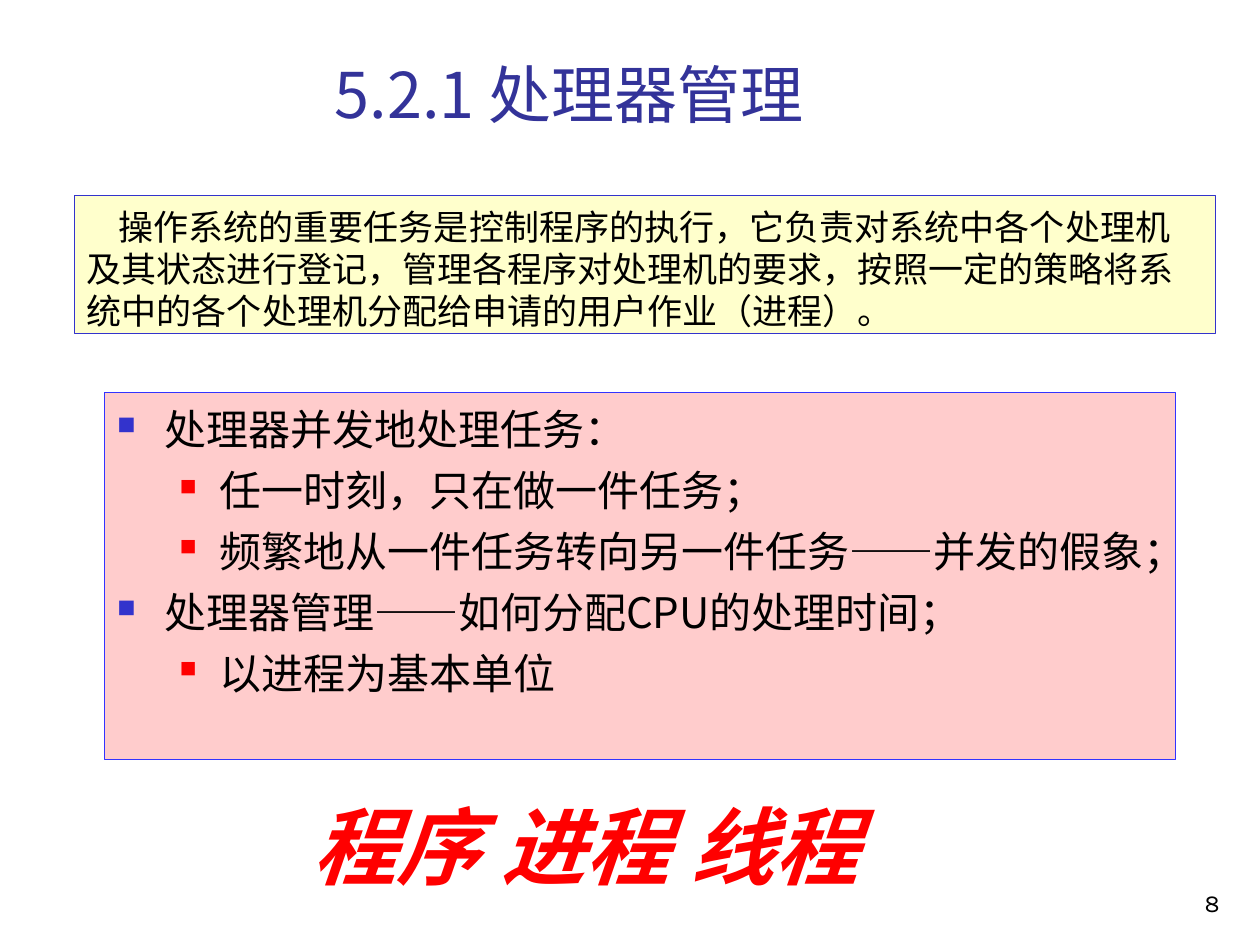
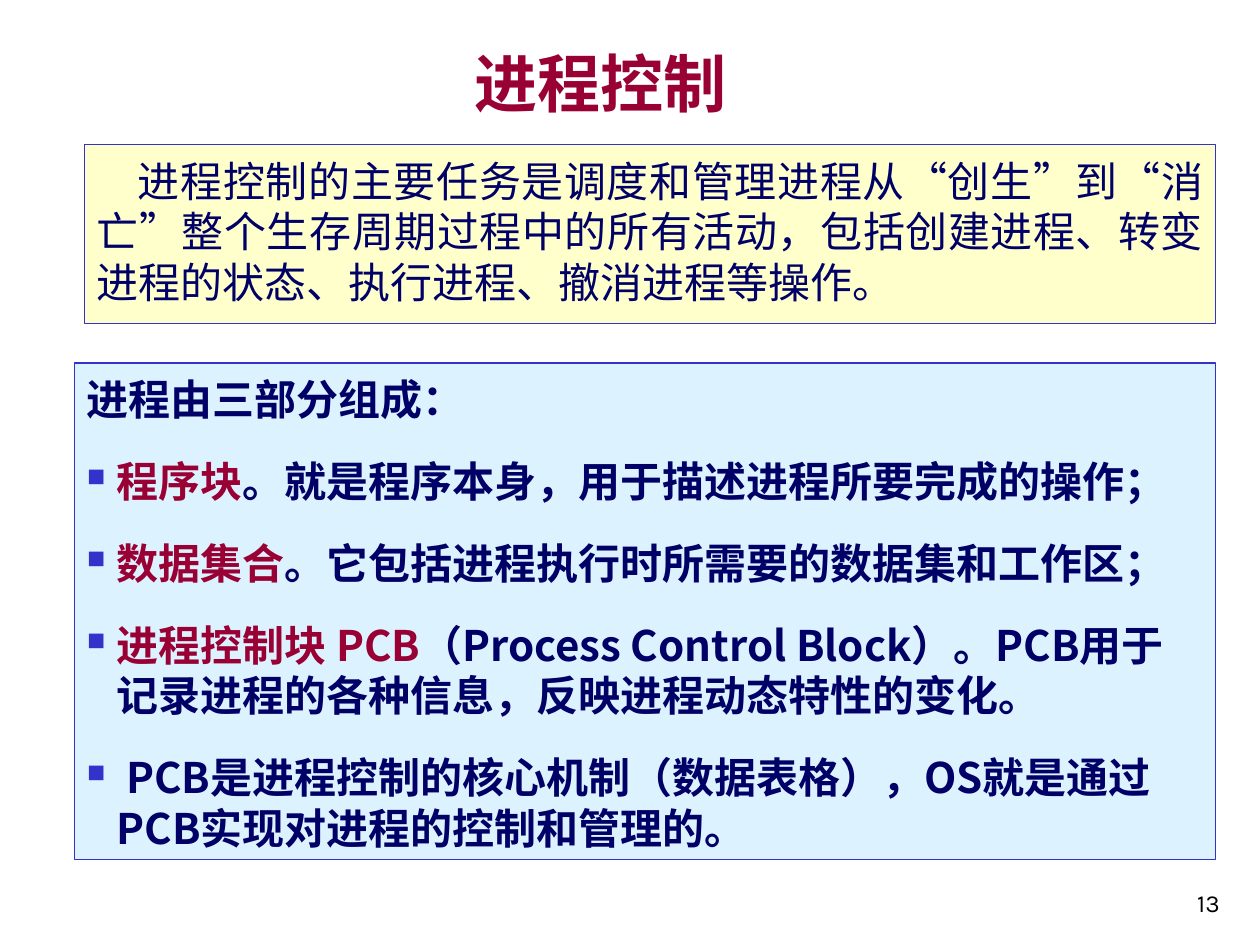
"""Build two slides on processor management and process control."""
from lxml import etree
from pptx import Presentation
from pptx import util as u
from pptx.dml.color import RGBColor
from pptx.enum import shapes, text
from pptx.oxml.ns import qn

COLORS = {
    "title": "333399", "crimson": "990033", "navy": "000066", "black": "000000",
    "red": "FF0000", "blue": "3333CC", "edge": "3333FF",
    "cream": "FFFFCC", "pink": "FFCCCC", "sky": "DDF2FF",
}
SC, JP, LATIN = "Noto Sans CJK SC", "Noto Sans CJK JP", "Karla"
INSET_X, INSET_Y = u.Cm(0.25), u.Cm(0.13)
LINE_RATIO, BASELINE_SHIFT = 1.2, 0.1
NUMBER_BOX = (19.56, 17.35, 5.28, 1.27)

LEVELS = {
    "plain": {},
    "opening": {"first": 0.64},
    "wide_opening": {"first": 0.83},
    "item": {"left": 0.95, "first": -0.95, "bullet": ("blue", 60)},
    "subitem": {"left": 2.06, "first": -0.8, "bullet": ("red", 55)},
    "part": {"left": 0.6, "first": -0.6, "bullet": ("blue", 60)},
    "terms": {"tabs": (4.9, 9.8)},
}

SLIDES = [
    {"number": "8", "boxes": [
        {"at": (6.5, 0.71, 12.12, 1.93), "anchor": "BOTTOM", "size": 36, "color": "title",
         "paras": [("plain", "5.2.1 处理器管理")]},
        {"at": (1.5, 3.94, 23.01, 2.79), "fill": "cream", "size": 20, "color": "black",
         "paras": [("opening", "操作系统的重要任务是控制程序的执行，它负责对系统中各个处理机及其状态进行登记，"
                    "管理各程序对处理机的要求，按照一定的策略将系统中的各个处理机分配给申请的用户作业（进程）。")]},
        {"at": (2.11, 7.92, 21.59, 7.39), "fill": "pink", "line": "edge", "size": 24,
         "color": "black", "before": 6,
         "paras": [("item", "处理器并发地处理任务："),
                   ("subitem", "任一时刻，只在做一件任务；"),
                   ("subitem", "频繁地从一件任务转向另一件任务——并发的假象；"),
                   ("item", "处理器管理——如何分配CPU的处理时间；"),
                   ("subitem", "以进程为基本单位")]},
        {"at": (3.5, 15.72, 18.8, 2.29), "pad": 2.55, "size": 48, "color": "red", "font": JP,
         "bold": True, "italic": True, "paras": [("terms", "程序\t进程\t线程")]},
    ]},
    {"number": "13", "boxes": [
        {"at": (7.7, 0.53, 8.81, 1.9), "anchor": "BOTTOM", "align": "CENTER", "size": 36,
         "color": "crimson", "font": JP, "bold": True, "paras": [("plain", "进程控制")]},
        {"at": (1.7, 2.92, 22.81, 3.61), "fill": "cream", "align": "JUSTIFY", "size": 24,
         "color": "navy",
         "paras": [("wide_opening", "进程控制的主要任务是调度和管理进程从“创生”到“消亡”整个生存周期过程中的所有活动，"
                    "包括创建进程、转变进程的状态、执行进程、撤消进程等操作。")]},
        {"at": (1.5, 7.32, 23.01, 10.01), "fill": "sky", "size": 24, "color": "navy",
         "bold": True, "before": 18,
         "paras": [("plain", "进程由三部分组成："),
                   ("part", "程序块", "。就是程序本身，用于描述进程所要完成的操作；"),
                   ("part", "数据集合", "。它包括进程执行时所需要的数据集和工作区；"),
                   ("part", "进程控制块 PCB",
                    "（Process Control Block）。PCB用于记录进程的各种信息，反映进程动态特性的变化。"),
                   ("part", " PCB是进程控制的核心机制（数据表格），OS就是通过PCB实现对进程的控制和管理的。")]},
    ]},
]


def rgb(name):
    return RGBColor.from_string(COLORS[name])


def sub(parent, tag, **attrs):
    return etree.SubElement(parent, qn(tag), {k: str(v) for k, v in attrs.items()})


def format_level(p, left=0, first=0, bullet=None, tabs=()):
    pPr = p._p.get_or_add_pPr()
    pPr.set("marL", str(u.Cm(left)))
    pPr.set("indent", str(u.Cm(first)))
    if bullet:
        color, percent = bullet
        sub(sub(pPr, "a:buClr"), "a:srgbClr", val=COLORS[color])
        sub(pPr, "a:buSzPct", val=percent * 1000)
        sub(pPr, "a:buChar", char="■")
    if tabs:
        stops = sub(pPr, "a:tabLst")
        for pos in tabs:
            sub(stops, "a:tab", pos=u.Cm(pos), algn="l")


def add_run(p, words, color, box):
    r = p.add_run()
    r.text = words
    font = box.get("font", SC)
    formats = {"size": u.Pt(box["size"]), "name": font,
               "bold": box.get("bold", False), "italic": box.get("italic", False)}
    for key, value in formats.items():
        setattr(r.font, key, value)
    r.font.color.rgb = rgb(color)
    r._r.rPr.find(qn("a:latin")).addnext(etree.Element(qn("a:ea"), typeface=font))


def add_box(s, box):
    at = [u.Cm(n) for n in box["at"]]
    if "fill" in box:
        sp = s.shapes.add_shape(shapes.MSO_SHAPE.RECTANGLE, *at)
        sp.shadow.inherit = False
        sp.fill.solid()
        sp.fill.fore_color.rgb = rgb(box["fill"])
        sp.line.color.rgb = rgb(box.get("line", "blue"))
        sp.line.width = u.Pt(0.75)
    else:
        sp = s.shapes.add_textbox(*at)
    cjk = box.get("font", SC) != LATIN
    shift = u.Pt(box["size"] * BASELINE_SHIFT) if cjk else 0
    formats = {
        "word_wrap": True,
        "vertical_anchor": getattr(text.MSO_ANCHOR, box.get("anchor", "TOP")),
        "margin_left": INSET_X + u.Cm(box.get("pad", 0)), "margin_right": INSET_X,
        "margin_top": INSET_Y + shift, "margin_bottom": max(0, INSET_Y - shift),
    }
    tf = sp.text_frame
    for key, value in formats.items():
        setattr(tf, key, value)
    for i, (level, *runs) in enumerate(box["paras"]):
        p = tf.add_paragraph() if i else tf.paragraphs[0]
        format_level(p, **LEVELS[level])
        p.alignment = getattr(text.PP_ALIGN, box.get("align", "LEFT"))
        if cjk:
            p.line_spacing = u.Pt(box["size"] * LINE_RATIO)
        p.space_before = u.Pt(box.get("before", 0) if i else 0)
        colors = ["crimson", box["color"]] if len(runs) == 2 else [box["color"]]
        for words, color in zip(runs, colors):
            add_run(p, words, color, box)


def main():
    prs = Presentation()
    prs.slide_width, prs.slide_height = u.Cm(25.4), u.Cm(19.05)
    for slide in SLIDES:
        s = prs.slides.add_slide(prs.slide_layouts[6])
        number = {"at": NUMBER_BOX, "anchor": "BOTTOM", "align": "RIGHT", "size": 14,
                  "color": "black", "font": LATIN, "paras": [("plain", slide["number"])]}
        for box in slide["boxes"] + [number]:
            add_box(s, box)
    prs.save("out.pptx")


if __name__ == "__main__":
    main()
